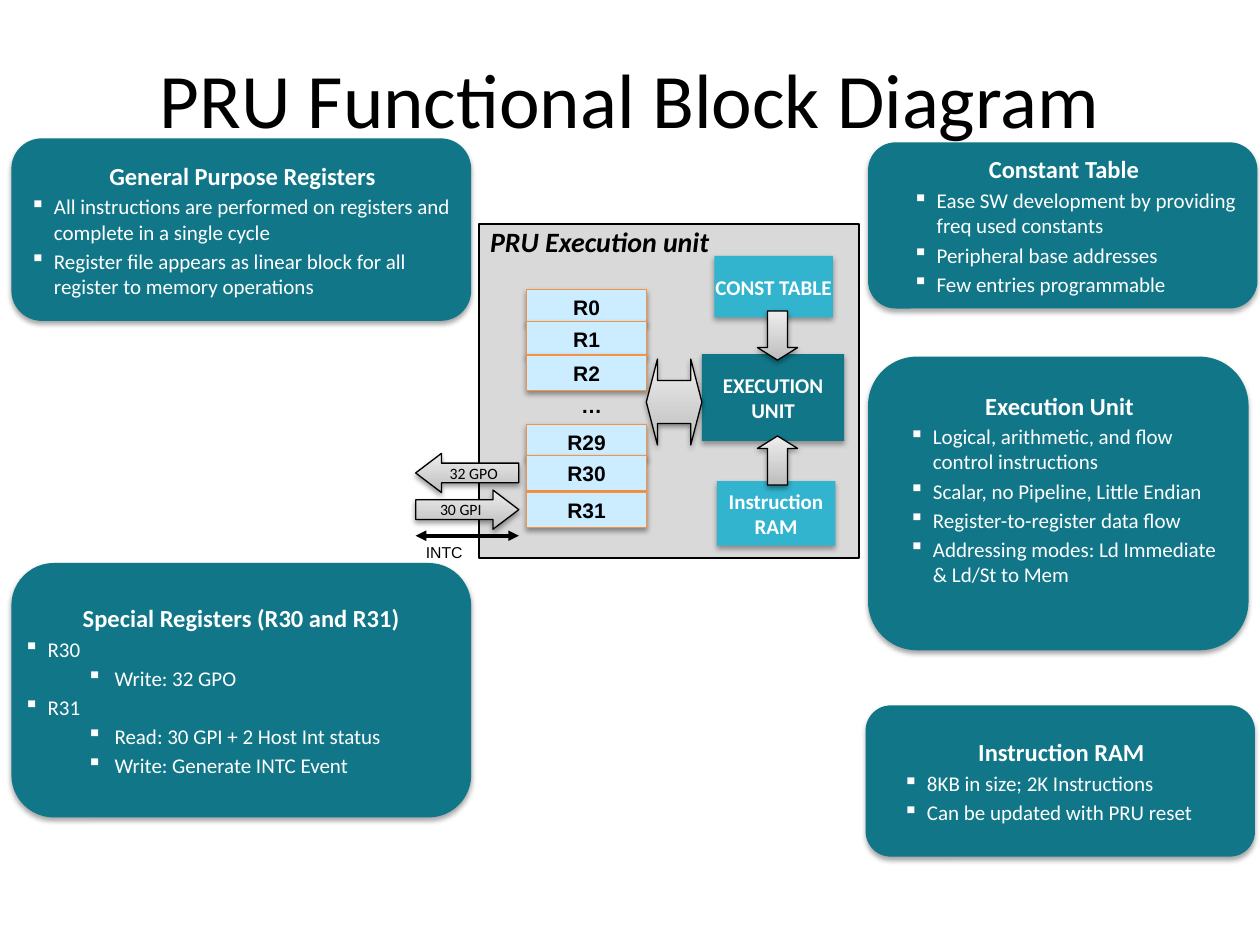
from dataclasses import dataclass
from typing import Optional

from lxml.etree import SubElement
from pptx import Presentation
from pptx.dml.color import RGBColor
from pptx.enum.shapes import MSO_CONNECTOR as Connector, MSO_SHAPE as Shape
from pptx.enum.text import MSO_ANCHOR as Anchor, PP_ALIGN as Align
from pptx.oxml.ns import qn
from pptx.util import Cm, Pt

COLORS = {
    "black": "000000", "white": "FFFFFF", "frame": "D9D9D9", "panel": "117788",
    "memory": "32B4CE", "register": "CCECFF", "register_line": "F69240",
    "arrow_dark": "BDBDBD", "arrow_light": "EEEEEE",
}


@dataclass(frozen=True)
class Box:
    left: float
    top: float
    width: float
    height: float

    def lengths(self):
        return Cm(self.left), Cm(self.top), Cm(self.width), Cm(self.height)


@dataclass(frozen=True)
class Item:
    text: str
    level: int = 0


@dataclass(frozen=True)
class Panel:
    box: Box
    title: str
    items: tuple[Item, ...]
    indent: float = 0.48
    side: float = 0
    bottom: float = 0


@dataclass(frozen=True)
class Block:
    box: Box
    text: str
    fill: str


@dataclass(frozen=True)
class Arrow:
    kind: Shape
    box: Box
    head: float
    text: str = ""


PANELS = (
    Panel(Box(0.23, 2.79, 9.27, 3.68), "General Purpose Registers", (
        Item("All instructions are performed on registers and complete in a single cycle"),
        Item("Register file appears as linear block for all register to memory operations"),
    ), side=0.2),
    Panel(Box(0.23, 11.35, 9.27, 5.13), "Special Registers (R30 and R31)", (
        Item("R30"), Item("Write: 32 GPO", 1), Item("R31"),
        Item("Read: 30 GPI + 2 Host Int status", 1), Item("Write: Generate INTC Event", 1),
    )),
    Panel(Box(17.45, 14.22, 7.85, 3.05), "Instruction RAM", (
        Item("8KB in size; 2K Instructions"), Item("Can be updated with PRU reset"),
    ), side=0.61),
    Panel(Box(17.5, 2.87, 7.85, 3.35), "Constant Table", (
        Item("Ease SW development by providing freq used constants"),
        Item("Peripheral base addresses"), Item("Few entries programmable"),
    ), indent=0.97, side=0.25),
    Panel(Box(17.5, 7.19, 7.67, 5.92), "Execution Unit", (
        Item("Logical, arithmetic, and flow control instructions"),
        Item("Scalar, no Pipeline, Little Endian"), Item("Register-to-register data flow"),
        Item("Addressing modes: Ld Immediate & Ld/St to Mem"),
    ), indent=0.97, side=0.05, bottom=0.6),
)
REGISTER_TOPS = {"R0": 5.84, "R1": 6.48, "R2": 7.16, "R29": 8.56, "R30": 9.19, "R31": 9.93}
BLOCKS = (
    Block(Box(14.4, 5.16, 2.39, 1.24), "CONST TABLE", "memory"),
    Block(Box(14.45, 9.7, 2.39, 1.3), "Instruction RAM", "memory"),
    Block(Box(14.15, 7.14, 2.87, 1.75), "EXECUTION UNIT", "panel"),
)
ARROWS = (
    Arrow(Shape.LEFT_ARROW, Box(8.38, 9.14, 2.08, 0.79), 0.66, "32 GPO"),
    Arrow(Shape.RIGHT_ARROW, Box(8.38, 9.88, 2.08, 0.79), 0.66, "30 GPI"),
    Arrow(Shape.LEFT_RIGHT_ARROW, Box(13.03, 7.24, 1.12, 1.73), 0.2),
    Arrow(Shape.UP_ARROW, Box(15.27, 8.79, 0.81, 0.99), 0.31),
    Arrow(Shape.DOWN_ARROW, Box(15.27, 6.27, 0.81, 0.99), 0.31),
)


def color(name: str) -> RGBColor:
    return RGBColor.from_string(COLORS[name])


def format_font(font, size=12, name="Calibri", ink="white", bold=False, italic=False) -> None:
    font.size, font.name, font.bold, font.italic = Pt(size), name, bold, italic
    font.color.rgb = color(ink)


def set_frame(frame, anchor=Anchor.MIDDLE, side=0.0, bottom=0.0) -> None:
    frame.word_wrap = True
    frame.vertical_anchor = anchor
    frame.margin_left, frame.margin_right = Cm(side), Cm(max(side - 0.05, 0))
    frame.margin_top, frame.margin_bottom = Cm(0), Cm(bottom)


def write_text(shape, text: str, align=Align.CENTER, anchor=Anchor.MIDDLE, **font) -> None:
    set_frame(shape.text_frame, anchor)
    paragraph = shape.text_frame.paragraphs[0]
    paragraph.text, paragraph.alignment = text, align
    format_font(paragraph.font, **font)


def add_shadow(shape, alpha: int, distance: float) -> None:
    effects = shape._element.spPr.find(qn("a:effectLst"))
    shadow = SubElement(effects, qn("a:outerShdw"), blurRad=str(Pt(3.1)),
                        dist=str(Pt(distance)), dir="5400000", rotWithShape="0")
    ink = SubElement(shadow, qn("a:srgbClr"), val=COLORS["black"])
    SubElement(ink, qn("a:alpha"), val=str(alpha * 1000))


def add_box(slide, kind: Shape, box: Box, fill: Optional[str] = None,
            line: Optional[str] = None, width=0.75, shadow=True):
    shape = slide.shapes.add_shape(kind, *box.lengths())
    shape.shadow.inherit = False
    if fill:
        shape.fill.solid()
        shape.fill.fore_color.rgb = color(fill)
    if line:
        shape.line.color.rgb = color(line)
        shape.line.width = Pt(width)
    else:
        shape.line.fill.background()
    if shadow:
        add_shadow(shape, *((38, 1.6) if line else (35, 1.8)))
    return shape


def add_label(slide, box: Box, text: str, **font) -> None:
    write_text(slide.shapes.add_textbox(*box.lengths()), text, **font)


def add_arrow(slide, arrow: Arrow) -> None:
    shape = add_box(slide, arrow.kind, arrow.box, line="black")
    shape.adjustments[0], shape.adjustments[1] = 0.5, arrow.head
    shape.fill.gradient()
    shape.fill.gradient_angle = 90
    for stop, name in zip(shape.fill.gradient_stops, ("arrow_dark", "arrow_light")):
        stop.color.rgb = color(name)
    if arrow.text:
        write_text(shape, arrow.text, size=9, ink="black")


def add_panel(slide, panel: Panel) -> None:
    shape = add_box(slide, Shape.ROUNDED_RECTANGLE, panel.box, "panel")
    write_text(shape, panel.title, size=14, bold=True)
    frame = shape.text_frame
    set_frame(frame, side=panel.side, bottom=panel.bottom)
    for item in panel.items:
        paragraph = frame.add_paragraph()
        paragraph.text, paragraph.level = item.text, item.level
        paragraph.alignment = Align.LEFT
        paragraph.space_before = Pt(2.2)
        margin, hanging = (1.83, 0.56) if item.level else (panel.indent, 0.48)
        properties = paragraph._p.get_or_add_pPr()
        properties.set("marL", str(Cm(margin)))
        properties.set("indent", str(-Cm(hanging)))
        SubElement(properties, qn("a:buChar"), char="▪")
        format_font(paragraph.font)


def add_double_arrow(slide, left: float, right: float, y: float) -> None:
    connector = slide.shapes.add_connector(Connector.STRAIGHT, Cm(right), Cm(y), Cm(left), Cm(y))
    connector.line.color.rgb = color("black")
    connector.line.width = Pt(2)
    properties = connector._element.spPr
    for end in ("a:headEnd", "a:tailEnd"):
        SubElement(properties.find(qn("a:ln")), qn(end), type="triangle")
    SubElement(properties, qn("a:effectLst"))


def main() -> None:
    presentation = Presentation()
    presentation.slide_width, presentation.slide_height = Cm(25.4), Cm(19.05)
    slide = presentation.slides.add_slide(presentation.slide_layouts[5])
    title = slide.shapes.title
    title.left, title.top, title.width, title.height = Box(1.27, 0.76, 22.86, 2.41).lengths()
    write_text(title, "PRU Functional Block Diagram", size=44, ink="black")

    add_box(slide, Shape.RECTANGLE, Box(9.65, 4.52, 7.67, 6.73), "frame", "black", 1.25, False)
    add_label(slide, Box(9.88, 4.52, 5.72, 0.69), "PRU Execution unit", align=Align.LEFT,
              size=16, ink="black", bold=True, italic=True)
    for name, top in REGISTER_TOPS.items():
        register = add_box(slide, Shape.RECTANGLE, Box(10.62, top, 2.41, 0.71),
                           "register", "register_line")
        write_text(register, name, name="Arial", ink="black", bold=True)
    add_label(slide, Box(10.72, 7.92, 2.41, 0.51), "…", anchor=Anchor.TOP,
              name="Arial", ink="black", bold=True)
    for block in BLOCKS:
        shape = add_box(slide, Shape.RECTANGLE, block.box, block.fill)
        write_text(shape, block.text, bold=True)
    for arrow in ARROWS:
        add_arrow(slide, arrow)
    add_double_arrow(slide, 8.38, 10.46, 10.8)
    add_label(slide, Box(8.23, 10.95, 1.45, 0.38), "INTC", anchor=Anchor.TOP,
              size=9, name="Arial", ink="black")
    for panel in PANELS:
        add_panel(slide, panel)
    presentation.save("out.pptx")


if __name__ == "__main__":
    main()
